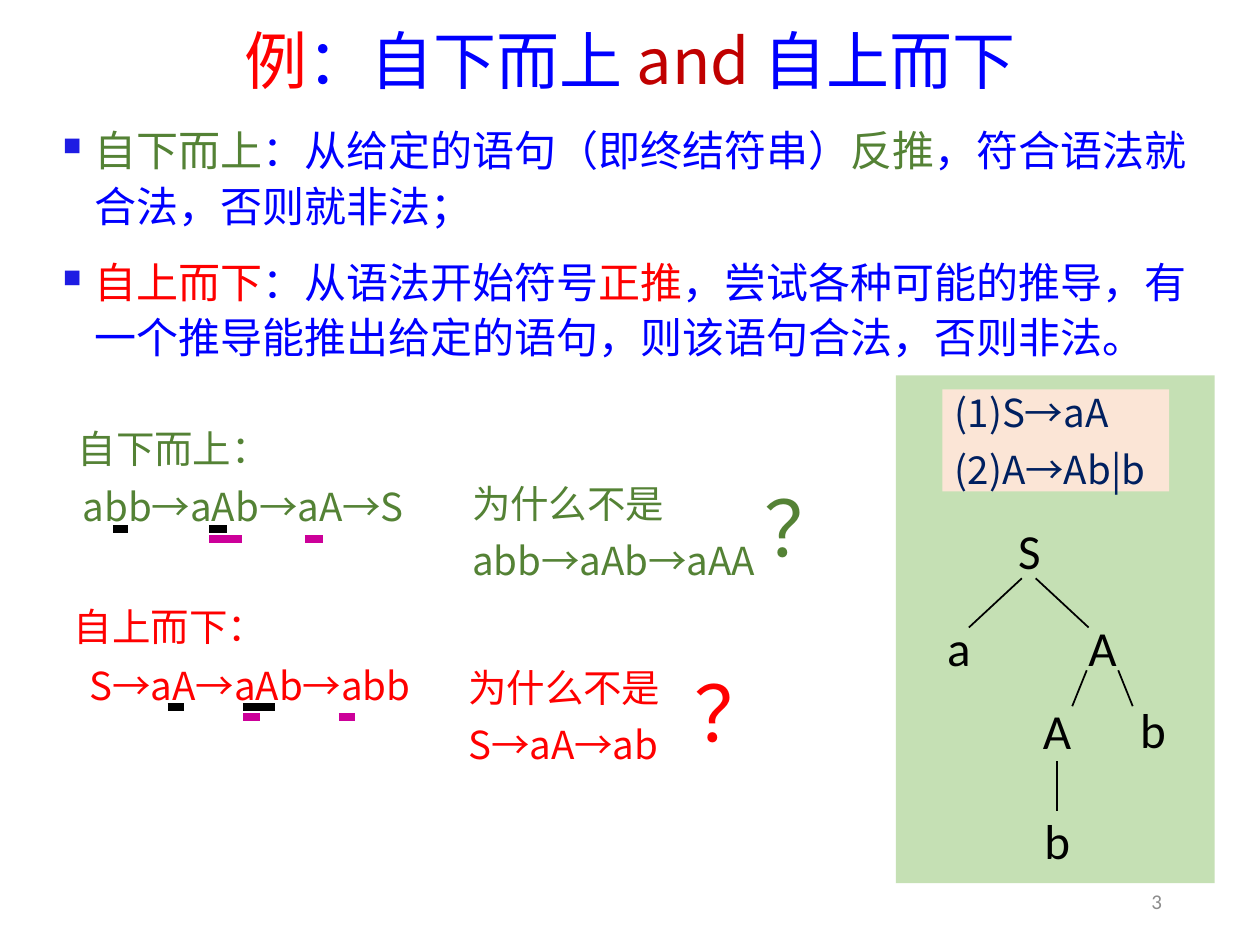
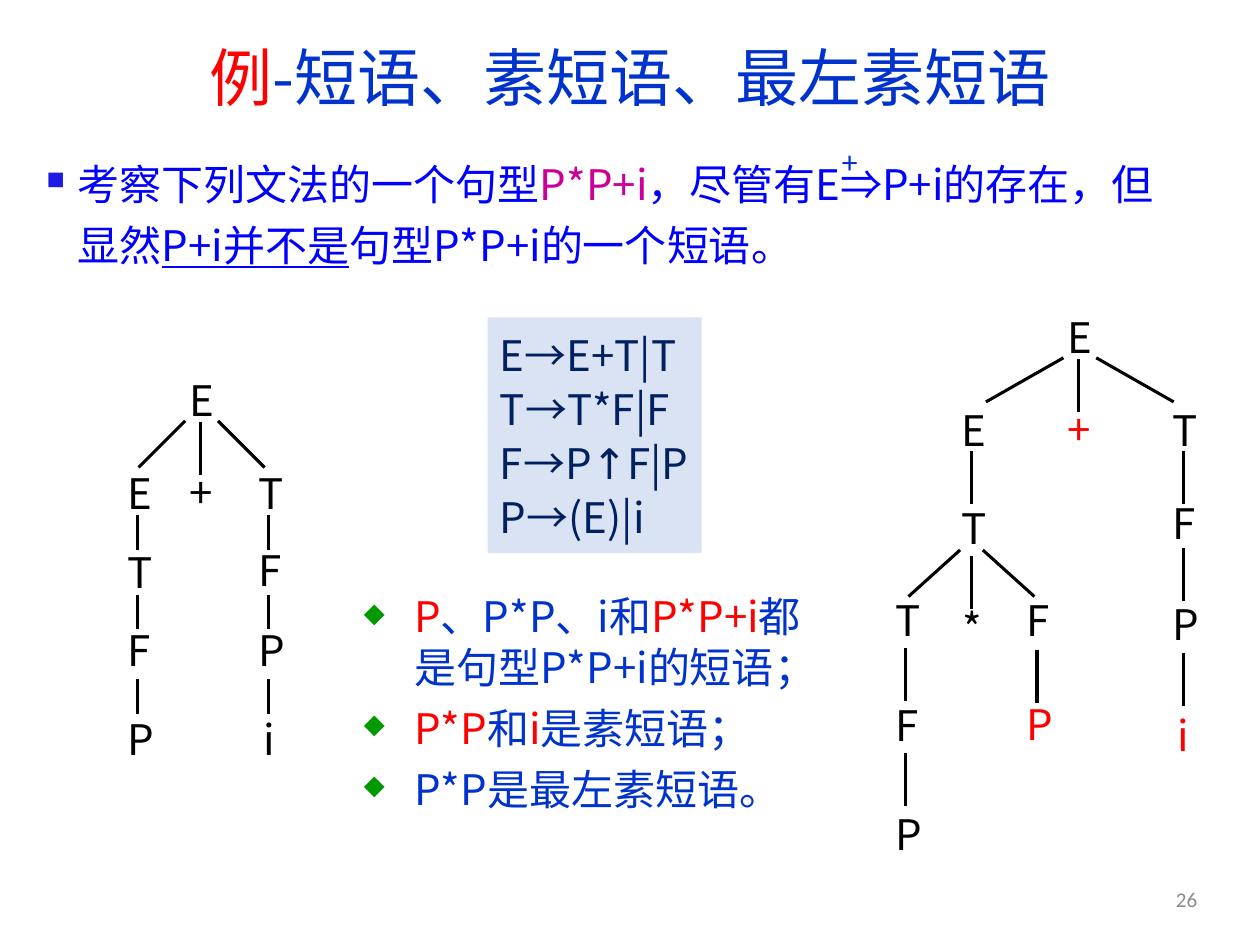
import dataclasses
import typing

import lxml.etree
import pptx
import pptx.dml.color
import pptx.enum.shapes
import pptx.enum.text
import pptx.oxml.ns
import pptx.util

COLORS = {
    "black": "000000", "red": "FF0000", "blue": "0000FF", "royal": "0033CC",
    "crimson": "C00000", "green": "548235", "navy": "002060", "magenta": "CC0099",
    "grey": "8C8C8C", "square": "1E1CE3", "diamond": "009900",
    "meadow": "C5E0B4", "peach": "FBE5D6", "ice": "DAE3F3",
}
CJK = "Noto Sans CJK SC"
TITLE_FONT = "Noto Sans CJK JP"
LATIN = "Calibri"
ALIGN = pptx.enum.text.PP_ALIGN
ANCHOR = pptx.enum.text.MSO_ANCHOR

deck = pptx.Presentation()
deck.slide_width = pptx.util.Inches(10)
deck.slide_height = pptx.util.Inches(7.5)
COLUMN = deck.slide_width / 100
ROW = deck.slide_height / 75


class Area(typing.NamedTuple):
    left: float
    top: float
    width: float
    height: float

    def emu(self) -> list[int]:
        return [round(self.left * COLUMN), round(self.top * ROW),
                round(self.width * COLUMN), round(self.height * ROW)]


class Run(typing.NamedTuple):
    text: str
    color: str
    underline: bool = False
    font: str = ""


class Bullet(typing.NamedTuple):
    char: str
    color: str
    percent: int
    indent: float


@dataclasses.dataclass
class Chain:
    column: float
    nodes: list[tuple[str, float]]
    red: str = ""


@dataclasses.dataclass
class Stems:
    column: float
    tops: list[float]
    length: float = 4.2


@dataclasses.dataclass
class Fork:
    column: float
    top: float
    inner: float
    outer: float
    drop: float


@dataclasses.dataclass
class Tree:
    chains: list[Chain]
    stems: list[Stems]
    forks: list[Fork]
    node_size: tuple[float, float] = (1.7, 4)
    tight: bool = True
    weight: float = 1.75


@dataclasses.dataclass
class Derivation:
    color: str
    heading: Area
    steps: Area
    chain: str
    question: Area
    wrong: str
    mark: Area
    used: list[tuple[float, float]]
    made: list[tuple[float, float]]
    used_row: float


SQUARE = Bullet("■", "square", 60, 2.5)
DIAMOND = Bullet("◆", "diamond", 65, 4)


def rgb(name: str) -> pptx.dml.color.RGBColor:
    return pptx.dml.color.RGBColor.from_string(COLORS[name])


def add_bullet(paragraph, bullet: Bullet) -> None:
    properties = paragraph._p.get_or_add_pPr()
    indent = round(bullet.indent * COLUMN)
    properties.set("marL", str(indent))
    properties.set("indent", str(-indent))
    qn = pptx.oxml.ns.qn
    tint = lxml.etree.SubElement(properties, qn("a:buClr"))
    lxml.etree.SubElement(tint, qn("a:srgbClr")).set("val", COLORS[bullet.color])
    lxml.etree.SubElement(properties, qn("a:buSzPct")).set("val", str(bullet.percent * 1000))
    lxml.etree.SubElement(properties, qn("a:buChar")).set("char", bullet.char)


def write(slide, area: Area, paragraphs: list[list[Run]], *, size: float,
          font: str = CJK, align=ALIGN.LEFT, anchor=ANCHOR.MIDDLE,
          spacing: float | None = None, before: float = 0, after: float = 0,
          bullet: Bullet | None = None, fill: str = "", tight: bool = False) -> None:
    if fill:
        box = add_panel(slide, area, fill)
    else:
        box = slide.shapes.add_textbox(*area.emu())
    frame = box.text_frame
    frame.word_wrap = not tight
    frame.vertical_anchor = anchor
    if tight:
        frame.auto_size = pptx.enum.text.MSO_AUTO_SIZE.SHAPE_TO_FIT_TEXT
        frame.margin_left = frame.margin_right = 0
        frame.margin_top = frame.margin_bottom = 0
    for index, runs in enumerate(paragraphs):
        paragraph = frame.add_paragraph() if index else frame.paragraphs[0]
        if bullet:
            add_bullet(paragraph, bullet)
        paragraph.alignment = align
        paragraph.space_before = pptx.util.Pt(before if index else 0)
        paragraph.space_after = pptx.util.Pt(after)
        if spacing:
            paragraph.line_spacing = spacing
        for part in runs:
            run = paragraph.add_run()
            run.text = part.text
            run.font.size = pptx.util.Pt(size)
            run.font.name = part.font or font
            run.font.color.rgb = rgb(part.color)
            if part.underline:
                run.font.underline = True
            east_asian = lxml.etree.SubElement(run._r.rPr, pptx.oxml.ns.qn("a:ea"))
            east_asian.set("typeface", part.font or font)


def add_panel(slide, area: Area, fill: str):
    panel = slide.shapes.add_shape(pptx.enum.shapes.MSO_SHAPE.RECTANGLE, *area.emu())
    panel.shadow.inherit = False
    panel.fill.solid()
    panel.fill.fore_color.rgb = rgb(fill)
    panel.line.fill.background()
    return panel


def add_line(slide, x1: float, y1: float, x2: float, y2: float,
             color: str = "black", weight: float = 1) -> None:
    line = slide.shapes.add_connector(
        pptx.enum.shapes.MSO_CONNECTOR.STRAIGHT, round(x1 * COLUMN), round(y1 * ROW),
        round(x2 * COLUMN), round(y2 * ROW))
    line.line.color.rgb = rgb(color)
    line.line.width = pptx.util.Pt(weight)
    lxml.etree.SubElement(line._element.spPr, pptx.oxml.ns.qn("a:effectLst"))


def draw_tree(slide, tree: Tree, **text_format) -> None:
    for chain in tree.chains:
        for label, top in chain.nodes:
            color = "red" if label == chain.red else "black"
            write(slide, Area(chain.column, top, *tree.node_size), [[Run(label, color)]],
                  align=ALIGN.CENTER, tight=tree.tight, **text_format)
    for stems in tree.stems:
        for top in stems.tops:
            add_line(slide, stems.column, top, stems.column, top + stems.length,
                     weight=tree.weight)
    for fork in tree.forks:
        for side in (-1, 1):
            add_line(slide, fork.column + side * fork.inner, fork.top,
                     fork.column + side * fork.outer, fork.top + fork.drop,
                     weight=tree.weight)


def draw_derivation(slide, item: Derivation) -> None:
    for area, lines, size in (
            (item.steps, [item.chain], 22),
            (item.heading, [" 自下而上：" if item.color == "green" else " 自上而下："], 22),
            (item.question, [" 为什么不是", item.wrong], 22),
            (item.mark, ["？"], 44)):
        write(slide, area, [[Run(line, item.color)] for line in lines], size=size, after=6)
    for spans, row, color in ((item.used, item.used_row, "black"),
                              (item.made, item.used_row + 0.8, "magenta")):
        for start, end in spans:
            add_line(slide, start, row, end, row, color, 4.5)


def start_slide(title: list[Run], title_top: float, title_height: float,
                number: str, number_area: Area):
    slide = deck.slides.add_slide(deck.slide_layouts[6])
    write(slide, Area(6.9, title_top, 86.2, title_height), [title], size=36,
          font=TITLE_FONT, align=ALIGN.CENTER, spacing=0.9)
    write(slide, number_area, [[Run(number, "grey")]], size=12, font=LATIN,
          align=ALIGN.RIGHT)
    return slide


def build_directions() -> None:
    slide = start_slide(
        [Run("例", "red"), Run("：自下而上 ", "blue"), Run("and ", "crimson"),
         Run("自上而下", "blue")], 1.1, 7.9, "3", Area(88.1, 69.5, 5.1, 4))
    write(slide, Area(4, 9, 92.7, 20.5), [
        [Run("自下而上", "green"), Run("：从给定的语句（即终结符串）", "blue"),
         Run("反推", "green"), Run("，符合语法就合法，否则就非法；", "blue")],
        [Run("自上而下", "red"), Run("：从语法开始符号", "blue"), Run("正推", "red"),
         Run("，尝试各种可能的推导，有一个推导能推出给定的语句，则该语句合法，否则非法。", "blue")],
    ], size=24, anchor=ANCHOR.TOP, spacing=1.1, before=6, after=6, bullet=SQUARE)

    add_panel(slide, Area(71.1, 29.8, 25.3, 40.3), "meadow")
    draw_tree(slide, Tree(
        chains=[Chain(77.2, [("S", 41)]), Chain(71.6, [("a", 48.7)]),
                Chain(83, [("A", 48.7)]), Chain(79.4, [("A", 55.3), ("b", 64)]),
                Chain(87, [("b", 55.2)])],
        stems=[Stems(83.9, [60.4], 4)],
        forks=[Fork(81.65, 45.9, 0.55, 4.75, 3.9), Fork(87.5, 53.2, 1.25, 2.4, 2.85)],
        node_size=(9, 5.3), tight=False, weight=1), size=28, font=LATIN)
    write(slide, Area(74.8, 30.9, 18, 8.1),
          [[Run(rule, "navy")] for rule in ("(1)S→aA", "(2)A→Ab|b")],
          size=22, after=6, fill="peach")

    for item in (
            Derivation("green", Area(4.5, 32.3, 17.9, 6.5), Area(4.9, 36.9, 30.1, 6.5),
                       " abb→aAb→aA→S", Area(35.8, 37.7, 26.3, 9), " abb→aAb→aAA",
                       Area(59.7, 37.3, 5.5, 9), [(9, 10.2), (16.6, 18)],
                       [(16.6, 19.2), (24.2, 25.6)], 42),
            Derivation("red", Area(4.2, 46.4, 17.9, 6.5), Area(6.1, 51.3, 27.8, 6.1),
                       "S→aA→aAb→abb", Area(35.5, 52.3, 26.3, 9), " S→aA→ab",
                       Area(54.1, 52, 5.5, 9), [(13.3, 14.6), (19.3, 21.8)],
                       [(19.3, 20.6), (26.9, 28.2)], 56.1)):
        draw_derivation(slide, item)


def build_phrases() -> None:
    slide = start_slide([Run("例", "red"), Run("-短语、素短语、最左素短语", "royal")],
                        3, 6.8, "26", Area(90.5, 69.7, 5.5, 3.3))
    write(slide, Area(2.7, 11.3, 92.5, 12.4), [
        [Run("考察下列文法的一个句型", "blue"), Run("P*P+i", "magenta"),
         Run("，尽管有E⇒P+i的存在，但显然", "blue"), Run("P+i并不是", "blue", True),
         Run("句型P*P+i的一个短语。", "blue")],
    ], size=24, anchor=ANCHOR.TOP, spacing=1.2, after=6, bullet=SQUARE)
    write(slide, Area(65.1, 11, 4.7, 3.5), [[Run("+", "royal")]], size=18, font=LATIN,
          align=ALIGN.CENTER)
    write(slide, Area(27.9, 46.4, 38.9, 20.2), [
        [Run("P", "red"), Run("、P*P、i和", "royal"), Run("P*P+i", "red"),
         Run("都是句型P*P+i的短语；", "royal")],
        [Run("P*P", "red"), Run("和", "royal"), Run("i", "red"), Run("是素短语；", "royal")],
        [Run("P*P是最左素短语。", "royal")],
    ], size=24, anchor=ANCHOR.TOP, after=6, bullet=DIAMOND)
    write(slide, Area(38.7, 25.2, 17, 18.7), [
        [Run("E→E+T|T", "navy")],
        [Run("T→T*F|F", "navy")],
        [Run("F→P", "navy"), Run("↑", "navy", font="Comic Neue"), Run("F|P", "navy")],
        [Run("P→(E)|i", "navy")],
    ], size=24, after=2, fill="ice")

    false_tree = Tree(
        chains=[Chain(15.05, [("E", 29.7), ("+", 37)]),
                Chain(10.1, [("E", 37.1), ("T", 43.4), ("F", 49.6), ("P", 56.6)]),
                Chain(20.5, [("T", 37.1), ("F", 43.2), ("P", 49.6), ("i", 56.6)])],
        stems=[Stems(15.9, [33.5])]
        + [Stems(column, [40.9, 47.2, 53.9], 2.75) for column in (10.9, 21.3)],
        forks=[Fork(16, 33.4, 1.3, 5, 3.7)])
    sentence_tree = Tree(
        chains=[Chain(84.7, [("E", 24.7), ("+", 32)], "+"),
                Chain(76.3, [("E", 32.1), ("T", 39.9), ("*", 47.8)]),
                Chain(71.1, [("T", 47.2), ("F", 55.5), ("P", 64.2)]),
                Chain(81.5, [("F", 47.2), ("P", 55.4)], "P"),
                Chain(93.1, [("T", 32.1), ("F", 39.5), ("P", 47.5), ("i", 56.3)], "i")],
        stems=[Stems(85.6, [28.5]), Stems(77.1, [35.8, 44.1]), Stems(71.9, [51.4, 59.8]),
               Stems(82.3, [51.6]), Stems(93.9, [35.8, 43.5, 51.8])],
        forks=[Fork(85.7, 28.4, 1.3, 7.45, 3.5), Fork(77.1, 43.65, 0.9, 5, 3.7)])
    for tree in (false_tree, sentence_tree):
        draw_tree(slide, tree, size=24, anchor=ANCHOR.TOP)


def main() -> None:
    build_directions()
    build_phrases()
    deck.save("out.pptx")


if __name__ == "__main__":
    main()
